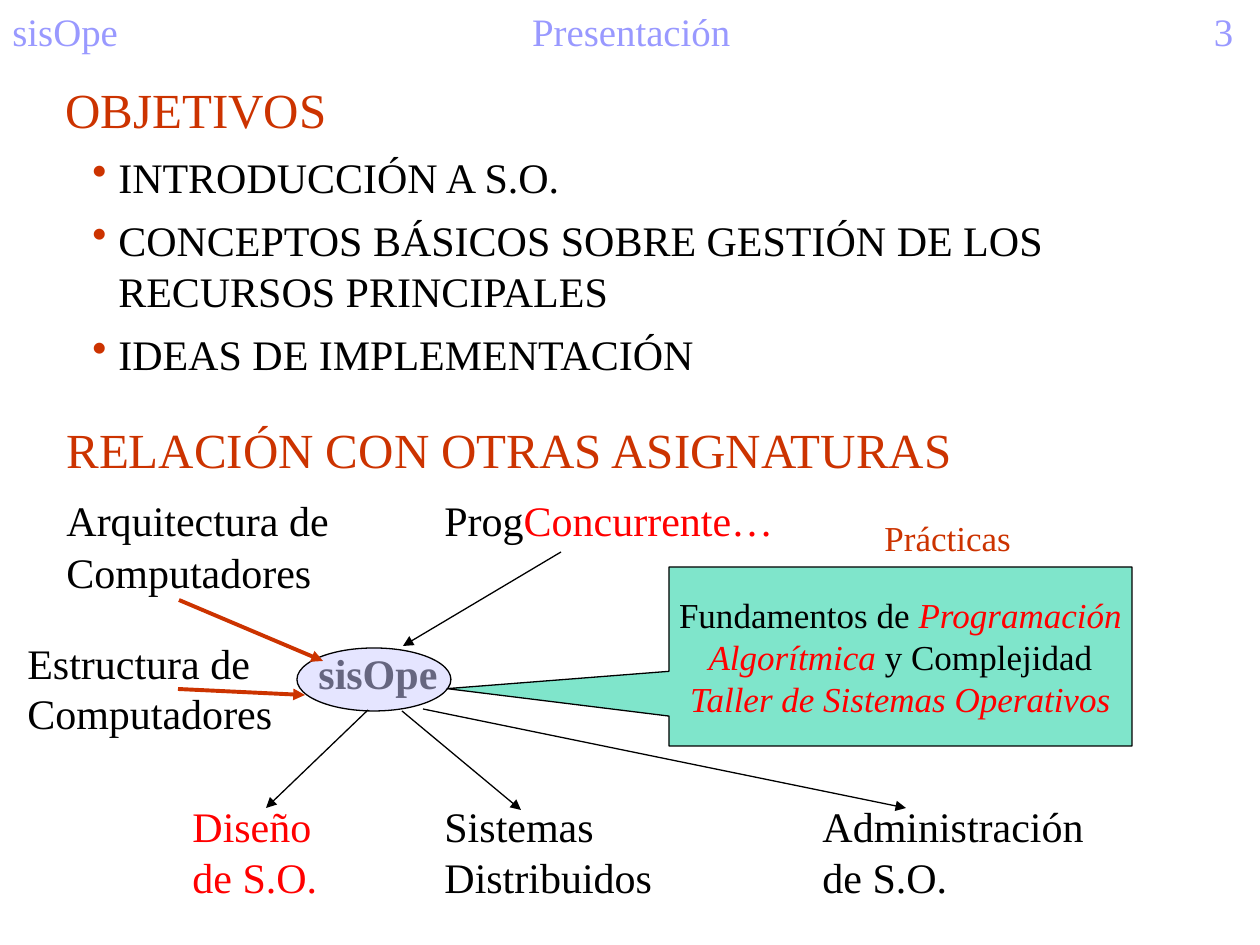
from lxml import etree
from pptx import Presentation
from pptx.dml.color import RGBColor
from pptx.enum.shapes import MSO_CONNECTOR, MSO_SHAPE
from pptx.enum.text import MSO_ANCHOR, MSO_AUTO_SIZE, PP_ALIGN
from pptx.oxml.ns import qn
from pptx.util import Emu, Pt

STRAIGHT = MSO_CONNECTOR.STRAIGHT
ELLIPSE, CALLOUT = MSO_SHAPE.OVAL, MSO_SHAPE.RECTANGULAR_CALLOUT
MIDDLE = MSO_ANCHOR.MIDDLE
GROW = MSO_AUTO_SIZE.SHAPE_TO_FIT_TEXT
CENTER = PP_ALIGN.CENTER

PX_PER_INCH = 126
FONT = "Times New Roman"
RUST = RGBColor(0xCC, 0x33, 0x00)
RED = RGBColor(0xFF, 0x00, 0x00)
BLACK = RGBColor(0x00, 0x00, 0x00)
LILAC = RGBColor(0x99, 0x99, 0xFF)
PALE_LILAC = RGBColor(0xCC, 0xCC, 0xFF)
GREEN = RGBColor(0x00, 0xCC, 0x99)

HALF_LINE, ROW_GAP = 0.5, 15
ROW_PITCH = 28.8  # height of one 24 pt row with its gap, in points


def px(value):
    return Emu(round(value * 914400 / PX_PER_INCH))


def add_text_box(slide, left, top, width, height):
    box = slide.shapes.add_textbox(px(left), px(top), px(width), px(height))
    frame = box.text_frame
    frame.word_wrap = True
    frame.auto_size = GROW
    return frame


def add_paragraph(frame, content, size, color=BLACK, before=0, after=0,
                  line=None, tabs=(), bullet=None, align=None):
    """Content is a string, or a list of (text, color, style) runs."""
    first = frame.paragraphs[0]
    paragraph = frame.add_paragraph() if first.runs else first
    paragraph.space_before, paragraph.space_after = Pt(before), Pt(after)
    if line:
        paragraph.line_spacing = line
    if align is not None:
        paragraph.alignment = align
    if bullet:
        set_bullet(paragraph, bullet)
    if tabs:
        set_tabs(paragraph, tabs)
    paragraph.font.name, paragraph.font.size = FONT, Pt(size)
    if isinstance(content, str):
        paragraph.font.color.rgb = color
        paragraph.add_run().text = content
        return
    for text, run_color, style in content:
        run = paragraph.add_run()
        run.text = text
        run.font.color.rgb = run_color
        if style == "bold":
            run.font.bold = True
        elif style == "italic":
            run.font.italic = True


def set_bullet(paragraph, color):
    properties = paragraph._p.get_or_add_pPr()
    properties.set("marL", str(px(53)))
    properties.set("indent", str(px(-26)))
    bullet_color = etree.SubElement(properties, qn("a:buClr"))
    etree.SubElement(bullet_color, qn("a:srgbClr"), val=str(color))
    etree.SubElement(properties, qn("a:buChar"), char="•")


def set_tabs(paragraph, tabs):
    tab_list = etree.SubElement(paragraph._p.get_or_add_pPr(), qn("a:tabLst"))
    for position, align in tabs:
        etree.SubElement(tab_list, qn("a:tab"), pos=str(px(position)), algn=align)


def inch_tabs(*inches):
    return [(inch * PX_PER_INCH, "l") for inch in inches]


def add_translucent_shape(slide, kind, left, top, width, height, color):
    shape = slide.shapes.add_shape(kind, px(left), px(top), px(width), px(height))
    shape.shadow.inherit = False
    shape.fill.solid()
    shape.fill.fore_color.rgb = color
    color_node = shape._element.spPr.find(qn("a:solidFill"))[0]
    etree.SubElement(color_node, qn("a:alpha"), val="50000")
    shape.line.color.rgb = BLACK
    shape.line.width = Pt(0.75)
    return shape


def add_arrow(slide, start, end, color=BLACK, width=0.75):
    arrow = slide.shapes.add_connector(STRAIGHT, *map(px, start + end))
    arrow.line.color.rgb = color
    arrow.line.width = Pt(width)
    etree.SubElement(arrow.line._get_or_add_ln(), qn("a:tailEnd"), type="triangle")
    etree.SubElement(arrow._element.spPr, qn("a:effectLst"))


def add_header(slide):
    header = add_text_box(slide, 0, 0, 1260, 63)
    header.auto_size = MSO_AUTO_SIZE.NONE
    header.vertical_anchor = MIDDLE
    add_paragraph(header, "sisOpe\tPresentación\t3", 22.2, LILAC,
                  tabs=[(619, "ctr"), (1221, "r")])


def add_objectives(slide):
    objectives = add_text_box(slide, 53, 73, 1162, 312)
    add_paragraph(objectives, "OBJETIVOS", 28, RUST, before=17.5)
    for goal in ("INTRODUCCIÓN A S.O.",
                 "CONCEPTOS BÁSICOS SOBRE GESTIÓN DE LOS RECURSOS PRINCIPALES",
                 "IDEAS DE IMPLEMENTACIÓN"):
        add_paragraph(objectives, goal, 24, before=7.5, bullet=RUST)


def add_practicals(slide):
    caption = add_text_box(slide, 872, 525, 231, 38)
    add_paragraph(caption, "Prácticas", 20, RUST, before=12.5, line=0.6)

    callout = add_translucent_shape(slide, CALLOUT, 669, 567, 463, 179, GREEN)
    callout.adjustments[0], callout.adjustments[1] = -0.98, 0.18
    courses = callout.text_frame
    courses.word_wrap = False
    courses.vertical_anchor = MIDDLE
    for runs in (
        [("Fundamentos de ", BLACK, None), ("Programación", RED, "italic")],
        [("Algorítmica", RED, "italic"), (" y Complejidad", BLACK, None)],
        [("Taller de Sistemas Operativos", RED, "italic")],
    ):
        add_paragraph(courses, runs, 20, align=CENTER)


def add_related_subjects(slide):
    subjects = add_text_box(slide, 54, 413, 1176, 495)
    add_paragraph(subjects, "RELACIÓN CON OTRAS ASIGNATURAS", 28, RUST,
                  before=28, after=7)
    later_tabs = inch_tabs(1, 3, 6)
    # Runs, tab stops and number of rows left free above
    rows = [
        ([("Arquitectura de\tProg", BLACK, None), ("Concurrente…", RED, None)],
         inch_tabs(3), 0),
        ([("Computadores", BLACK, None)], (), 0),
        ([("\tsisOpe", BLACK, "bold")], inch_tabs(2), 1),
        ([("\tDiseño", RED, None), ("\tSistemas\tAdministración", BLACK, None)],
         later_tabs, 2),
        ([("\tde S.O.", RED, None), ("\tDistribuidos\tde S.O.", BLACK, None)],
         later_tabs, 0),
    ]
    for runs, tabs, free_rows in rows:
        add_paragraph(subjects, runs, 24, before=ROW_GAP + free_rows * ROW_PITCH,
                      line=HALF_LINE, tabs=tabs)


def add_relations(slide):
    add_translucent_shape(slide, ELLIPSE, 297, 648, 154, 63, PALE_LILAC)
    structure = add_text_box(slide, 15, 631, 287, 113)
    add_paragraph(structure, "Estructura de Computadores", 24)

    # Subjects that lead to the course
    add_arrow(slide, (179, 600), (323, 661), RUST, 2.25)
    add_arrow(slide, (178, 689), (305, 695), RUST, 2.25)
    add_arrow(slide, (561, 552), (403, 646))
    # Subjects that follow it
    add_arrow(slide, (368, 710), (266, 808))
    add_arrow(slide, (402, 711), (521, 810))
    add_arrow(slide, (423, 709), (906, 808))


def main():
    presentation = Presentation()
    presentation.slide_width, presentation.slide_height = px(1260), px(945)
    slide = presentation.slides.add_slide(presentation.slide_layouts[6])
    add_header(slide)
    add_objectives(slide)
    add_practicals(slide)
    add_related_subjects(slide)
    add_relations(slide)
    presentation.save("out.pptx")


if __name__ == "__main__":
    main()
